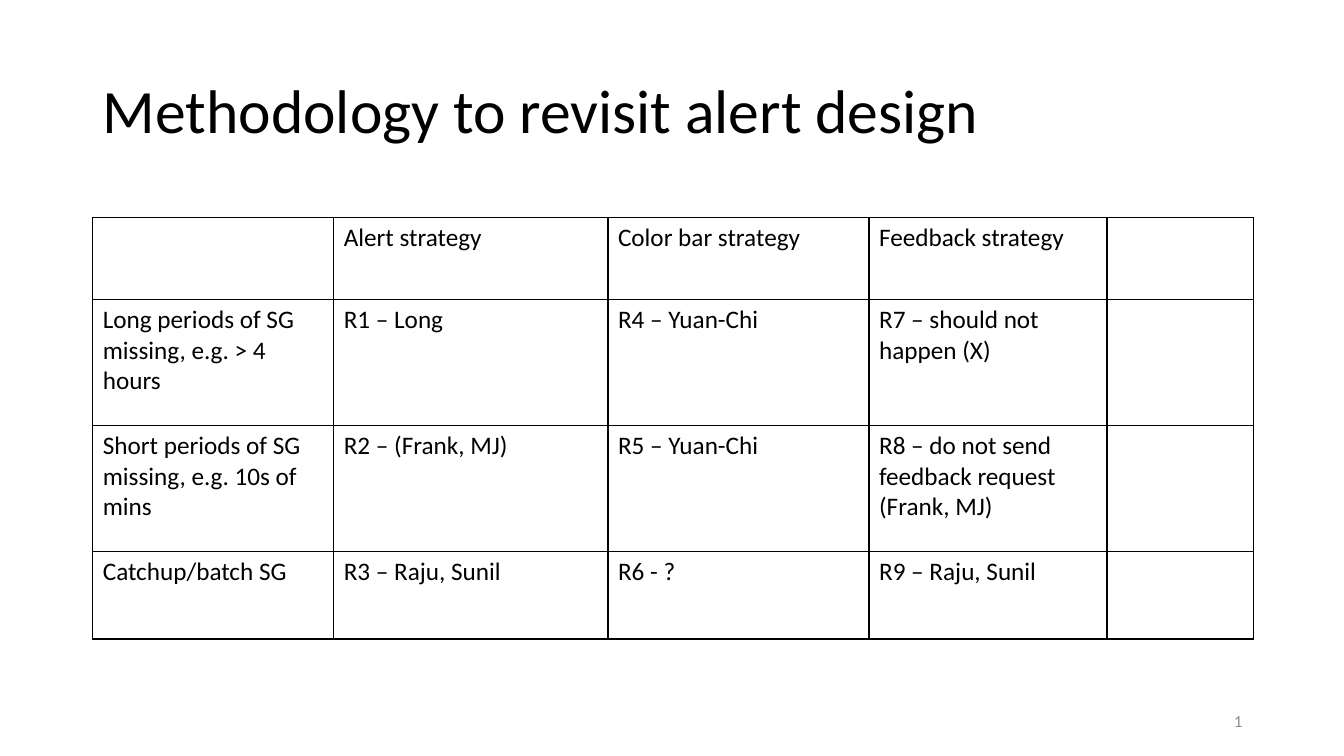
from dataclasses import dataclass

from lxml.etree import SubElement
from pptx import Presentation
from pptx.dml.color import RGBColor
from pptx.enum.text import MSO_ANCHOR, PP_ALIGN
from pptx.oxml.ns import qn
from pptx.util import Inches, Pt


@dataclass(frozen=True)
class Theme:
    font: str = "Calibri"
    ink: str = "000000"
    muted: str = "8C8C8C"
    paper: str = "FFFFFF"
    title: int = 44
    body: int = 18
    small: int = 12
    rule: int = 1


class Deck:
    def __init__(self, theme):
        self.theme = theme
        self.prs = Presentation()
        self.prs.slide_width = Inches(13.33)
        self.prs.slide_height = Inches(7.5)
        self.s = self.prs.slides.add_slide(self.prs.slide_layouts[6])
        fill = self.s.background.fill
        fill.solid()
        fill.fore_color.rgb = RGBColor.from_string(theme.paper)

    def add_text(self, tf, text, size=None, color=None, align=None, spacing=None):
        p = tf.paragraphs[0]
        p.alignment = align
        p.line_spacing = spacing
        r = p.add_run()
        r.text = text
        r.font.name = self.theme.font
        r.font.size = Pt(size or self.theme.body)
        r.font.color.rgb = RGBColor.from_string(color or self.theme.ink)

    def text_box(self, text, left, top, width, height, **fmt):
        sp = self.s.shapes.add_textbox(
            Inches(left), Inches(top), Inches(width), Inches(height))
        tf = sp.text_frame
        tf.word_wrap = True
        tf.vertical_anchor = MSO_ANCHOR.MIDDLE
        self.add_text(tf, text, **fmt)

    def border(self, cell):
        tcPr = cell._tc.get_or_add_tcPr()
        for side in ("a:lnL", "a:lnR", "a:lnT", "a:lnB"):
            ln = SubElement(tcPr, qn(side), w=str(Pt(self.theme.rule)))
            fill = SubElement(ln, qn("a:solidFill"))
            SubElement(fill, qn("a:srgbClr"), val=self.theme.ink)

    def table(self, rows, left, top, widths, heights):
        frame = self.s.shapes.add_table(
            len(heights), len(widths), Inches(left), Inches(top),
            Inches(sum(widths)), Inches(sum(heights)))
        table = frame.table
        table.first_row = False
        table.horz_banding = False
        for column, width in zip(table.columns, widths):
            column.width = Inches(width)
        for row, height, texts in zip(table.rows, heights, rows):
            row.height = Inches(height)
            for cell, text in zip(row.cells, texts):
                self.border(cell)
                cell.fill.background()
                if text:
                    self.add_text(cell.text_frame, text)


def main():
    theme = Theme()
    deck = Deck(theme)
    deck.text_box("Methodology to revisit alert design", 0.92, 0.4, 11.5, 1.45,
                  size=theme.title, spacing=0.9)
    strategies = [
        ("", "Alert strategy", "Color bar strategy", "Feedback strategy", ""),
        ("Long periods of SG missing, e.g. > 4 hours", "R1 – Long",
         "R4 – Yuan-Chi", "R7 – should not happen (X)", ""),
        ("Short periods of SG missing, e.g. 10s of mins", "R2 – (Frank, MJ)",
         "R5 – Yuan-Chi", "R8 – do not send feedback request (Frank, MJ)", ""),
        ("Catchup/batch SG", "R3 – Raju, Sunil", "R6 - ?",
         "R9 – Raju, Sunil", ""),
    ]
    deck.table(strategies, 0.92, 2.16,
               widths=(2.39, 2.72, 2.59, 2.36, 1.45),
               heights=(0.81, 1.25, 1.25, 0.87))
    deck.text_box("1", 9.42, 6.95, 3, 0.4, size=theme.small,
                  color=theme.muted, align=PP_ALIGN.RIGHT)
    deck.prs.save("out.pptx")


if __name__ == "__main__":
    main()
